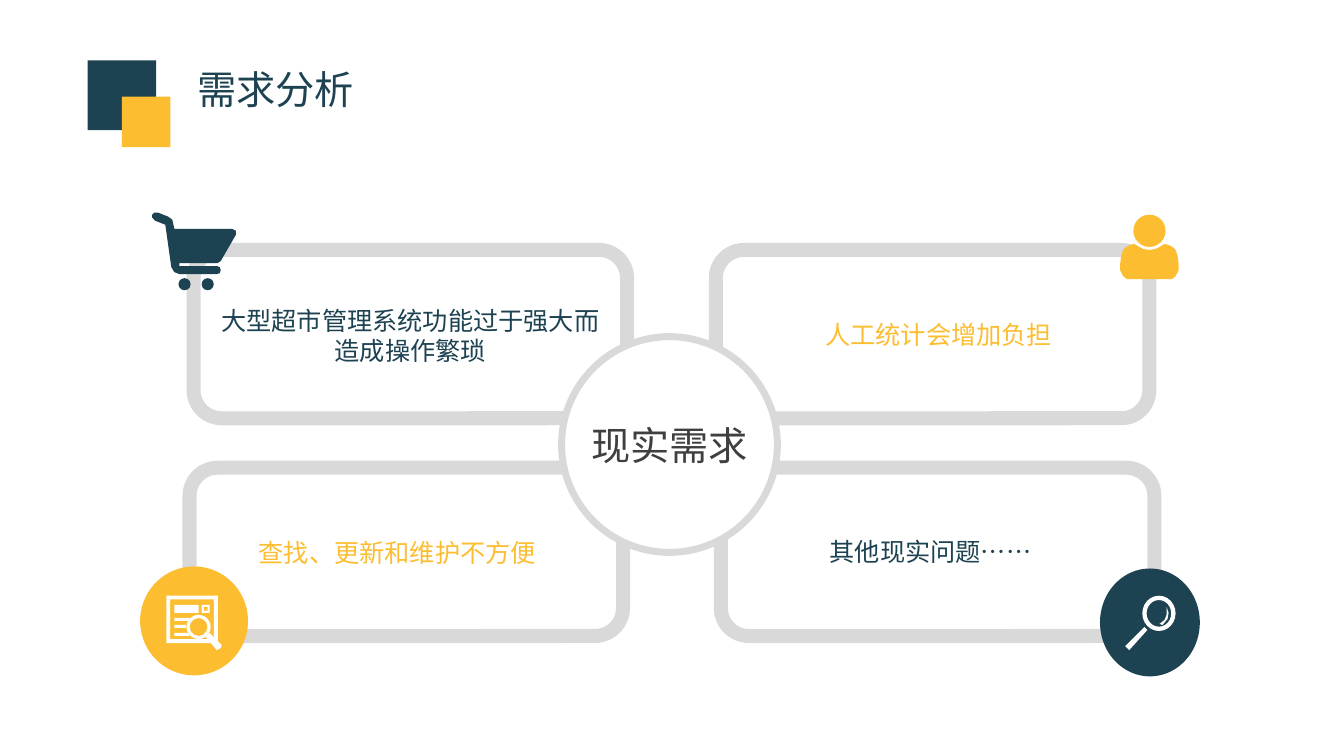
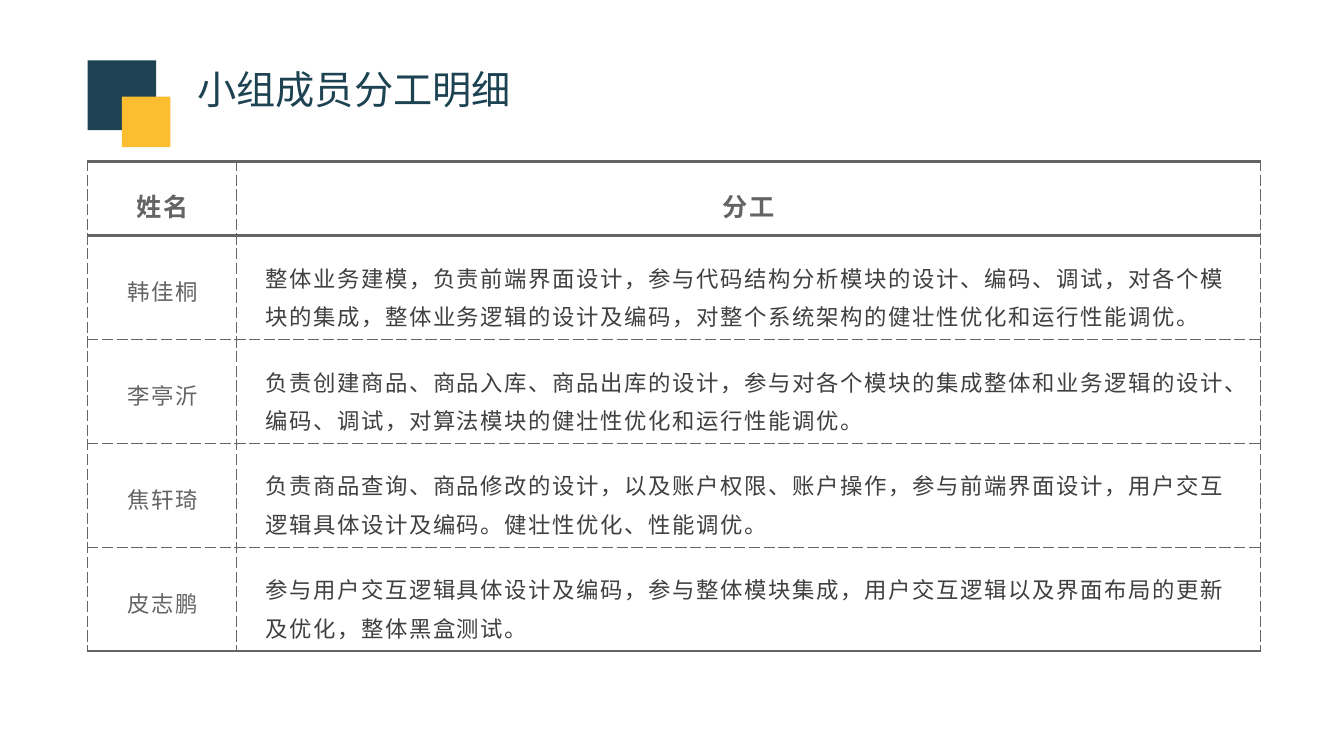
from dataclasses import dataclass

from lxml.etree import SubElement
from pptx import Presentation
from pptx.dml.color import RGBColor
from pptx.enum.shapes import MSO_SHAPE
from pptx.enum.text import MSO_ANCHOR, MSO_AUTO_SIZE, PP_ALIGN
from pptx.oxml import parse_xml
from pptx.oxml.ns import nsdecls, qn
from pptx.util import Inches, Pt


@dataclass(frozen=True)
class Theme:
    """Colours, fonts and type sizes of the deck."""
    navy: str = "1D4251"
    gold: str = "FCBD30"
    white: str = "FFFFFF"
    frame: str = "D9D9D9"
    hub: str = "3F3F3F"
    rule: str = "646464"
    body: str = "404040"
    font: str = "Noto Sans CJK JP"
    table_font: str = "Noto Sans CJK SC"
    title_size: int = 28
    label_size: int = 18
    body_size: int = 16


THEME = Theme()


def write_text(frame, text, size, color, font=THEME.font, align=PP_ALIGN.LEFT,
               bold=False, spacing=None, line_spacing=None):
    """Write one paragraph per line of text in the given format."""
    for index, line in enumerate(text.split("\n")):
        para = frame.paragraphs[0] if index == 0 else frame.add_paragraph()
        para.alignment = align
        para.line_spacing = line_spacing
        span = para.add_run()
        span.text = line
        span.font.size = Pt(size)
        span.font.bold = bold
        span.font.name = font
        span.font.color.rgb = RGBColor.from_string(color)
        properties = span._r.get_or_add_rPr()
        SubElement(properties, qn("a:ea")).set("typeface", font)
        if spacing:
            properties.set("spc", str(round(spacing * 100)))


def set_borders(cell, top_heavy, bottom_heavy):
    """Give a cell dashed borders, with solid heavy ones where asked."""
    edges = (("L", False), ("R", False), ("T", top_heavy), ("B", bottom_heavy))
    for index, (side, heavy) in enumerate(edges):
        width, dash = (Pt(2.25), "solid") if heavy else (Pt(0.75), "sysDash")
        cell._tc.get_or_add_tcPr().insert(index, parse_xml(
            f'<a:ln{side} {nsdecls("a")} w="{width}"><a:solidFill>'
            f'<a:srgbClr val="{THEME.rule}"/></a:solidFill>'
            f'<a:prstDash val="{dash}"/></a:ln{side}>'))


class SlideBuilder:
    """Adds styled elements to the current slide."""

    def __init__(self, deck):
        self.deck = deck
        self.page = None

    def start(self, title):
        """Open a blank slide with the shared title and emblem."""
        self.page = self.deck.slides.add_slide(self.deck.slide_layouts[6])
        box = self.text(title, 1.86, 0.6, 3.52, 0.57, size=THEME.title_size, color=THEME.navy)
        box.text_frame.vertical_anchor = MSO_ANCHOR.MIDDLE
        box.text_frame.auto_size = MSO_AUTO_SIZE.SHAPE_TO_FIT_TEXT
        self.shape(MSO_SHAPE.RECTANGLE, 0.87, 0.6, 0.68, 0.69, fill=THEME.navy)
        self.shape(MSO_SHAPE.RECTANGLE, 1.21, 0.96, 0.48, 0.5, fill=THEME.gold)

    def paint(self, shape, fill=None, line=None, weight=1):
        """Set the fill and outline of a shape and drop its shadow."""
        shape.shadow.inherit = False
        if fill:
            shape.fill.solid()
            shape.fill.fore_color.rgb = RGBColor.from_string(fill)
        else:
            shape.fill.background()
        if line:
            shape.line.color.rgb = RGBColor.from_string(line)
            shape.line.width = Pt(weight)
        else:
            shape.line.fill.background()
        return shape

    def shape(self, kind, left, top, width, height, adjust=None, **style):
        """Add a preset shape."""
        shape = self.page.shapes.add_shape(
            kind, Inches(left), Inches(top), Inches(width), Inches(height))
        if adjust is not None:
            shape.adjustments[0] = adjust
        return self.paint(shape, **style)

    def outline(self, points, fill):
        """Add a closed polygon through points given in inches."""
        corners = [(Inches(x), Inches(y)) for x, y in points]
        builder = self.page.shapes.build_freeform(*corners[0])
        builder.add_line_segments(corners[1:], close=True)
        return self.paint(builder.convert_to_shape(), fill=fill)

    def text(self, text, left, top, width, height, **style):
        """Add a wrapping text box."""
        box = self.page.shapes.add_textbox(
            Inches(left), Inches(top), Inches(width), Inches(height))
        box.text_frame.word_wrap = True
        write_text(box.text_frame, text, **style)
        return box

    def panel(self, left, top, text, center, bottom, color):
        """Add a rounded frame and a label centred above a bottom edge."""
        self.shape(MSO_SHAPE.ROUNDED_RECTANGLE, left, top, 4.3, 1.67, line=THEME.frame, weight=10)
        width, height = 3.9, 0.3 * len(text.split("\n"))
        box = self.text(text, center - width / 2, bottom - height, width, height,
                        size=THEME.label_size, color=color, align=PP_ALIGN.CENTER)
        frame = box.text_frame
        frame.vertical_anchor = MSO_ANCHOR.BOTTOM
        frame.margin_left = frame.margin_right = frame.margin_top = frame.margin_bottom = 0

    def hub(self, text):
        """Add the central circle."""
        circle = self.shape(MSO_SHAPE.OVAL, 5.57, 3.34, 2.14, 2.14,
                            fill=THEME.white, line=THEME.frame, weight=5)
        circle.text_frame.word_wrap = False
        circle.text_frame.vertical_anchor = MSO_ANCHOR.MIDDLE
        write_text(circle.text_frame, text, size=THEME.title_size, color=THEME.hub,
                   align=PP_ALIGN.CENTER)

    def cart_icon(self):
        """Draw the shopping cart."""
        self.outline([
            (1.53, 2.11), (1.57, 2.11), (1.67, 2.15), (1.71, 2.18), (1.73, 2.27),
            (2.30, 2.27), (2.34, 2.29), (2.34, 2.33), (2.19, 2.59), (2.16, 2.61),
            (1.78, 2.61), (1.78, 2.64), (2.15, 2.64), (2.18, 2.65), (2.19, 2.68),
            (2.18, 2.71), (2.15, 2.72), (1.78, 2.72), (1.73, 2.70), (1.70, 2.65),
            (1.64, 2.23), (1.54, 2.19), (1.51, 2.16), (1.51, 2.13)], THEME.navy)
        for left in (1.77, 2):
            self.shape(MSO_SHAPE.OVAL, left, 2.76, 0.12, 0.12, fill=THEME.navy)

    def person_icon(self):
        """Draw the person, mirrored about a vertical axis."""
        axis = 11.4
        half = [(0, 2.48), (0.06, 2.47), (0.1, 2.45), (0.15, 2.42), (0.19, 2.43),
                (0.23, 2.45), (0.26, 2.48), (0.28, 2.54), (0.29, 2.62), (0.29, 2.68),
                (0.26, 2.74), (0.22, 2.77), (0.18, 2.77)]
        right = [(axis + x, y) for x, y in half]
        left = [(axis - x, y) for x, y in reversed(half[1:])]
        self.shape(MSO_SHAPE.OVAL, axis - 0.16, 2.13, 0.32, 0.32, fill=THEME.gold)
        self.outline(right + left, THEME.gold)

    def report_icon(self):
        """Draw the report with a magnifier on a gold disc."""
        white = THEME.white
        self.shape(MSO_SHAPE.OVAL, 1.39, 5.62, 1.07, 1.08, fill=THEME.gold)
        self.shape(MSO_SHAPE.FRAME, 1.65, 5.91, 0.51, 0.47, adjust=0.08, fill=white)
        self.shape(MSO_SHAPE.RECTANGLE, 1.73, 6, 0.24, 0.08, fill=white)
        self.shape(MSO_SHAPE.FRAME, 2, 6, 0.08, 0.08, adjust=0.27, fill=white)
        for top, width in ((6.13, 0.15), (6.2, 0.12), (6.28, 0.15)):
            self.shape(MSO_SHAPE.RECTANGLE, 1.73, top, width, 0.03, fill=white)
        self.shape(MSO_SHAPE.OVAL, 1.85, 6.1, 0.24, 0.24, fill=THEME.gold)
        self.shape(MSO_SHAPE.DONUT, 1.85, 6.1, 0.24, 0.24, adjust=0.13, fill=white)
        self.outline([(2.04, 6.32), (2.08, 6.28), (2.2, 6.4), (2.19, 6.43), (2.15, 6.45)], white)

    def magnifier_icon(self):
        """Draw the magnifier on a navy disc."""
        self.shape(MSO_SHAPE.OVAL, 10.91, 5.64, 0.99, 1.07, fill=THEME.navy)
        self.shape(MSO_SHAPE.DONUT, 11.33, 5.91, 0.33, 0.35, adjust=0.13, fill=THEME.white)
        self.outline([(11.16, 6.41), (11.2, 6.45), (11.38, 6.25), (11.35, 6.22)], THEME.white)
        self.outline([(11.57, 6.02), (11.57, 6.1), (11.55, 6.15), (11.5, 6.19), (11.53, 6.2),
                      (11.58, 6.14), (11.59, 6.08)], THEME.white)

    def table(self, rows):
        """Add the table of names and duties."""
        widths, heights = (1.48, 10.15), [0.74] + [1.03] * (len(rows) - 1)
        grid = self.page.shapes.add_table(
            len(rows), len(widths), Inches(0.87), Inches(1.6),
            Inches(sum(widths)), Inches(sum(heights))).table
        grid.first_row = grid.horz_banding = False
        for column, width in zip(grid.columns, widths):
            column.width = Inches(width)
        for row, height in zip(grid.rows, heights):
            row.height = Inches(height)
        for row_index, row in enumerate(rows):
            header, last = row_index == 0, row_index == len(rows) - 1
            for column_index, text in enumerate(row):
                cell = grid.cell(row_index, column_index)
                duty = column_index == 1 and not header
                cell.fill.solid()
                cell.fill.fore_color.rgb = RGBColor.from_string(THEME.white)
                cell.vertical_anchor = MSO_ANCHOR.MIDDLE
                cell.margin_left = cell.margin_right = Inches(0.28)
                cell.margin_top = cell.margin_bottom = Inches(0.19)
                set_borders(cell, row_index < 2, header or last)
                write_text(cell.text_frame, text, font=THEME.table_font, bold=header,
                           size=THEME.label_size if header else THEME.body_size,
                           color=THEME.body if duty else THEME.rule,
                           align=PP_ALIGN.LEFT if duty else PP_ALIGN.CENTER,
                           spacing=1.3 if header else 1.2, line_spacing=1.2)


PANELS = (
    (1.92, 2.48, "大型超市管理系统功能过于强大而\n造成操作繁琐", 4.07, 3.63, THEME.navy),
    (1.88, 4.64, "查找、更新和维护不方便", 3.94, 5.63, THEME.gold),
    (7.1, 2.48, "人工统计会增加负担", 9.31, 3.47, THEME.gold),
    (7.15, 4.64, "其他现实问题……", 9.23, 5.62, THEME.navy),
)

DUTIES = (
    ("姓名", "分工"),
    ("韩佳桐", "整体业务建模，负责前端界面设计，参与代码结构分析模块的设计、编码、调试，"
               "对各个模块的集成，整体业务逻辑的设计及编码，对整个系统架构的健壮性优化和运行性能调优。"),
    ("李亭沂", "负责创建商品、商品入库、商品出库的设计，参与对各个模块的集成整体和业务逻辑的设计、"
               "编码、调试，对算法模块的健壮性优化和运行性能调优。"),
    ("焦轩琦", "负责商品查询、商品修改的设计，以及账户权限、账户操作，参与前端界面设计，"
               "用户交互逻辑具体设计及编码。健壮性优化、性能调优。"),
    ("皮志鹏", "参与用户交互逻辑具体设计及编码，参与整体模块集成，"
               "用户交互逻辑以及界面布局的更新及优化，整体黑盒测试。"),
)


def main():
    """Build and save the deck."""
    deck = Presentation()
    deck.slide_width, deck.slide_height = Inches(13.33), Inches(7.5)
    builder = SlideBuilder(deck)

    builder.start("需求分析")
    for panel in PANELS:
        builder.panel(*panel)
    builder.hub("现实需求")
    builder.cart_icon()
    builder.person_icon()
    builder.report_icon()
    builder.magnifier_icon()

    builder.start("小组成员分工明细")
    builder.table(DUTIES)

    deck.save("out.pptx")


if __name__ == "__main__":
    main()
